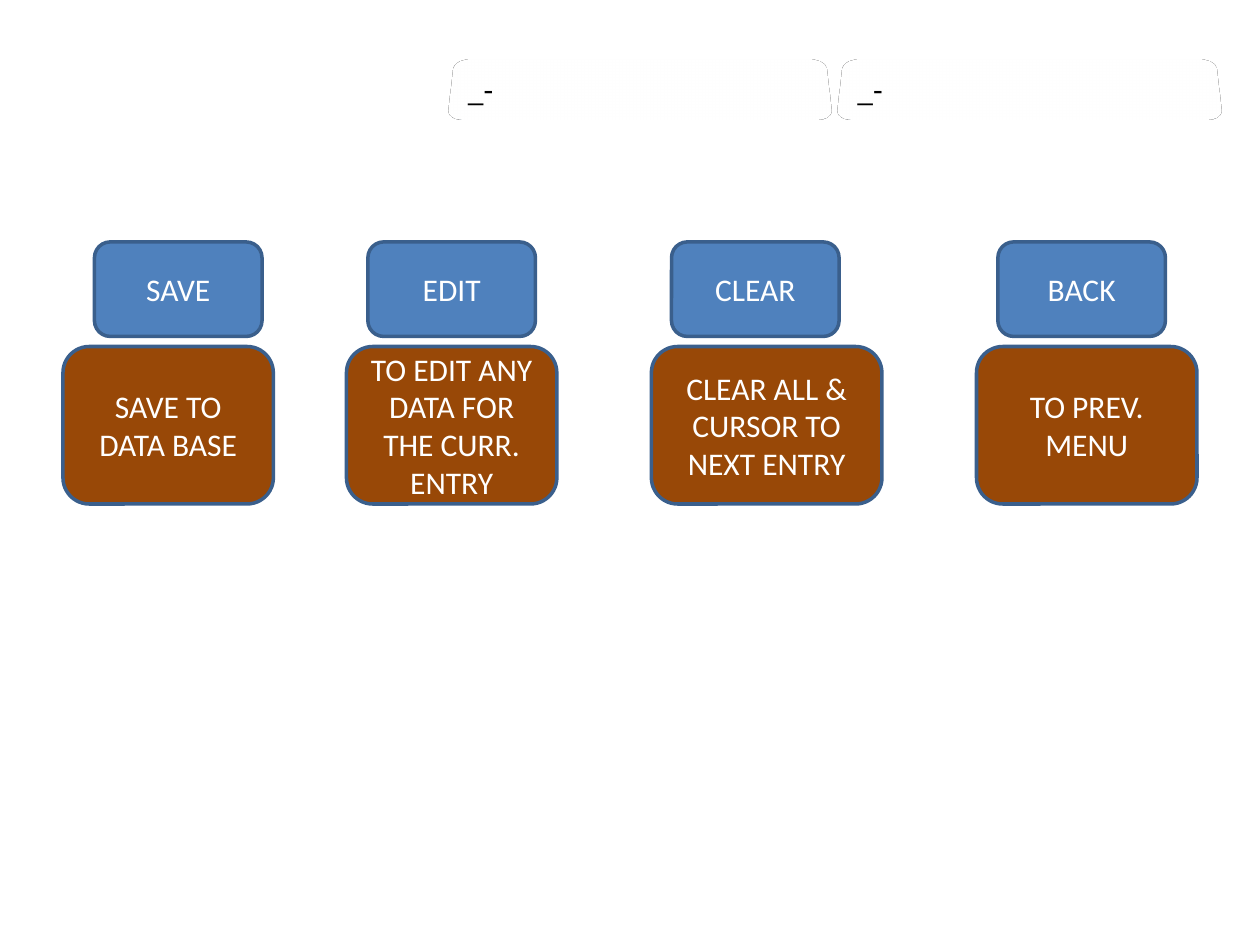
from lxml import etree
from pptx import Presentation
from pptx.dml.color import RGBColor
from pptx.enum import shapes, text
from pptx.oxml import ns
from pptx.util import Inches, Pt

WHITE = RGBColor(0xFF, 0xFF, 0xFF)
BLACK = RGBColor(0x00, 0x00, 0x00)
NAVY = RGBColor(0x1F, 0x49, 0x7D)
BLUE = RGBColor(0x4F, 0x81, 0xBD)
EDGE = RGBColor(0x3A, 0x5F, 0x8C)
BROWN = RGBColor(0x98, 0x48, 0x07)

BUTTON_W = 1.33
ACTIONS = [
    ("SAVE", 0.75, "SAVE TO DATA BASE", 0.5, 1.67),
    ("EDIT", 2.92, "TO EDIT ANY DATA FOR THE CURR. ENTRY", 2.75, 1.67),
    ("CLEAR", 5.33, "CLEAR ALL & CURSOR TO NEXT ENTRY", 5.17, 1.83),
    ("BACK", 7.92, "TO PREV. MENU", 7.75, 1.75),
]


def add_box(s, label, x, y, w, h, fill, line=EDGE, color=WHITE,
            align=text.PP_ALIGN.CENTER):
    """Add a rounded box with a label and return it."""
    sp = s.shapes.add_shape(shapes.MSO_SHAPE.ROUNDED_RECTANGLE,
                            Inches(x), Inches(y), Inches(w), Inches(h))
    sp.shadow.inherit = False
    sp.fill.solid()
    sp.fill.fore_color.rgb = fill
    sp.line.color.rgb = line
    sp.line.width = Pt(2)
    tf = sp.text_frame
    tf.text = label
    tf.word_wrap = True
    tf.vertical_anchor = text.MSO_ANCHOR.MIDDLE
    p = tf.paragraphs[0]
    p.alignment = align
    font = p.runs[0].font
    font.name, font.size, font.color.rgb = "Calibri", Pt(18), color
    return sp


def tilt(sp):
    """Lean a shape back in relaxed perspective."""
    pr = sp._element.spPr
    scene = etree.SubElement(pr, ns.qn("a:scene3d"))
    etree.SubElement(scene, ns.qn("a:camera"), prst="perspectiveRelaxed")
    etree.SubElement(scene, ns.qn("a:lightRig"), rig="threePt", dir="t")
    etree.SubElement(pr, ns.qn("a:sp3d"))


def add_field(s, x):
    """Add a tilted entry field."""
    tilt(add_box(s, "_-", x, 0.33, 3, 0.75, WHITE, NAVY, BLACK,
                 text.PP_ALIGN.LEFT))


def main():
    """Build the slide."""
    prs = Presentation()
    prs.slide_width, prs.slide_height = Inches(10), Inches(7.5)
    s = prs.slides.add_slide(prs.slide_layouts[6])
    for x in (3.58, 6.67):
        add_field(s, x)
    for name, x, _, _, _ in ACTIONS:
        add_box(s, name, x, 1.92, BUTTON_W, 0.75, BLUE)
    for _, _, note, x, w in ACTIONS:
        add_box(s, note, x, 2.75, w, 1.25, BROWN)
    prs.save("out.pptx")


if __name__ == "__main__":
    main()
